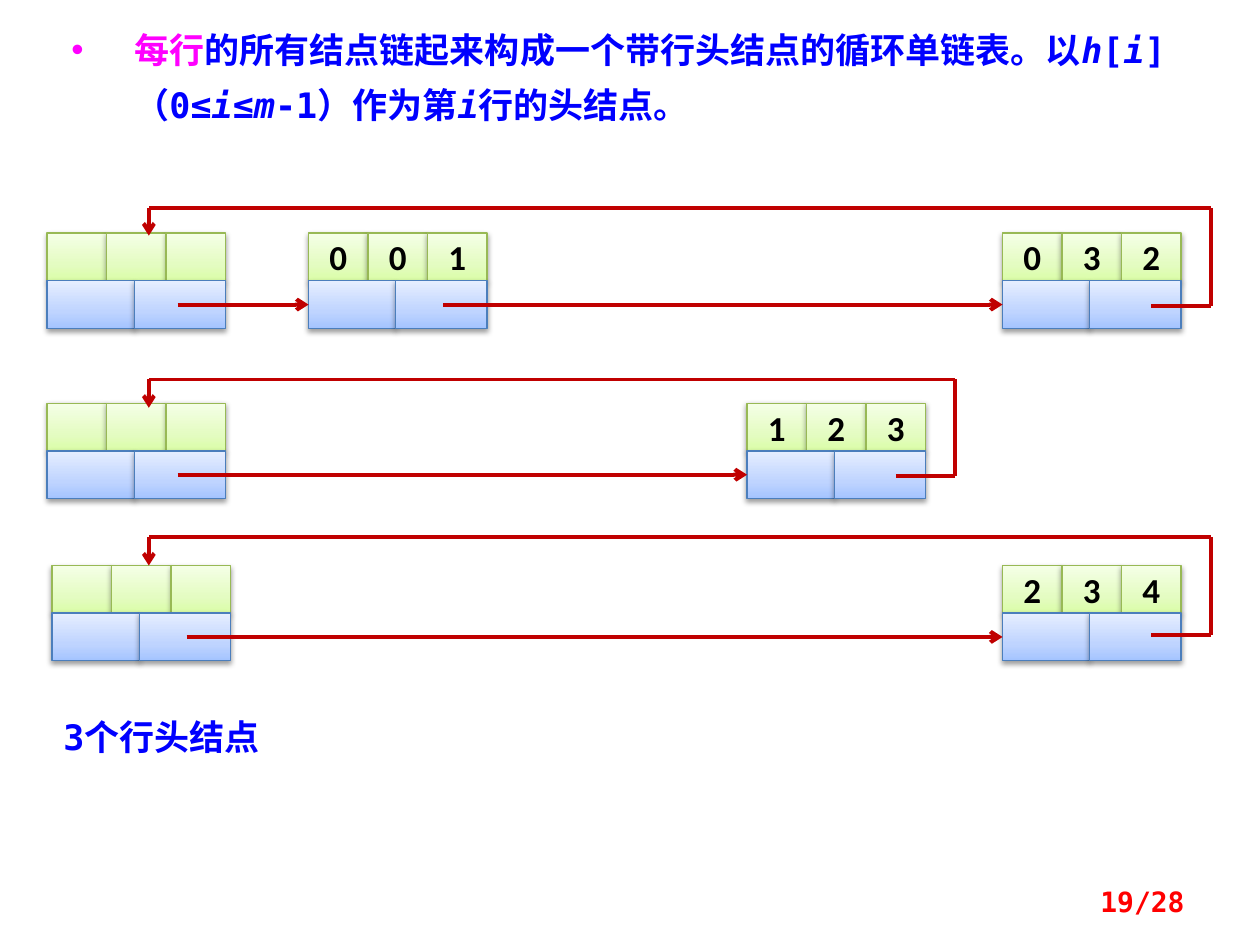
from copy import deepcopy

from pptx import Presentation
from pptx.dml.color import RGBColor
from pptx.enum.shapes import MSO_CONNECTOR as CONN, MSO_SHAPE as SHAPE
from pptx.enum.text import MSO_ANCHOR as ANCHOR, MSO_AUTO_SIZE as AUTO, PP_ALIGN as ALIGN
from pptx.oxml.ns import qn
from pptx.oxml.xmlchemy import OxmlElement
from pptx.util import Cm, Pt

MAGENTA = RGBColor(0xFF, 0x00, 0xFF)
BLUE = RGBColor(0x00, 0x00, 0xFF)
RED = RGBColor(0xFF, 0x00, 0x00)
BLACK = RGBColor(0x00, 0x00, 0x00)
LINK = RGBColor(0xC0, 0x00, 0x00)
GREEN_EDGE = RGBColor(0x98, 0xB9, 0x55)
BLUE_EDGE = RGBColor(0x4B, 0x7E, 0xBC)
GREEN_FILL = [RGBColor(0xDA, 0xFD, 0xA7), RGBColor(0xE4, 0xFC, 0xC2), RGBColor(0xF5, 0xFF, 0xE7)]
BLUE_FILL = [RGBColor(0xA4, 0xC4, 0xFF), RGBColor(0xBF, 0xD4, 0xFF), RGBColor(0xE6, 0xEE, 0xFF)]
MONO, SANS = "DejaVu Sans Mono", "Calibri"
CELL_W, CELL_H, DATA_W = 1.2, 0.96, 1.76
NODE_W = 3 * CELL_W


class LinkedListSlide:
    """Draws nodes, links and text on one slide in a shared style."""

    def __init__(self, prs):
        self.s = prs.slides.add_slide(prs.slide_layouts[6])

    def element(self, parent, tag, **attrs):
        el = OxmlElement(tag)
        for name, value in attrs.items():
            el.set(name, str(value))
        parent.append(el)
        return el

    def run(self, p, text, color, size=20, font=MONO, italic=False):
        r = p.add_run()
        r.text = text
        r.font.name, r.font.size = font, Pt(size)
        r.font.bold, r.font.italic = True, italic
        r.font.color.rgb = color

    def text(self, x, y, w, h, runs, size=20, align=ALIGN.LEFT, anchor=ANCHOR.TOP,
             auto=AUTO.NONE, bullet=False):
        tf = self.s.shapes.add_textbox(Cm(x), Cm(y), Cm(w), Cm(h)).text_frame
        tf.word_wrap, tf.auto_size, tf.vertical_anchor = True, auto, anchor
        p = tf.paragraphs[0]
        p.alignment = align
        if bullet:
            p.line_spacing = 1.3
            pPr = p._p.get_or_add_pPr()
            pPr.set("marL", str(Cm(1.27)))
            pPr.set("indent", str(Cm(-1.27)))
            self.element(pPr, "a:buFont", typeface="Arial")
            self.element(pPr, "a:buChar", char="•")
        for text, color, italic in runs:
            self.run(p, text, color, size, italic=italic)

    def cell(self, grp, x, y, w, colors, edge, label=""):
        sp = grp.shapes.add_shape(SHAPE.RECTANGLE, Cm(x), Cm(y), Cm(w), Cm(CELL_H))
        sp.fill.gradient()
        sp.fill.gradient_angle = 90
        stops = sp._element.spPr.find(".//" + qn("a:gsLst"))
        stops.append(deepcopy(stops[0]))
        for stop, color, position in zip(sp.fill.gradient_stops, colors, (0, 0.35, 1)):
            stop.color.rgb, stop.position = color, position
        sp.line.color.rgb, sp.line.width = edge, Pt(0.75)
        sp.shadow.inherit = False
        effects = sp._element.spPr.find(qn("a:effectLst"))
        shadow = self.element(effects, "a:outerShdw", blurRad=Pt(3.1), dist=Pt(1.6),
                              dir=5400000, rotWithShape=0)
        self.element(self.element(shadow, "a:srgbClr", val=BLACK), "a:alpha", val=38000)
        if label:
            tf = sp.text_frame
            tf.word_wrap, tf.vertical_anchor = False, ANCHOR.MIDDLE
            p = tf.paragraphs[0]
            p.alignment = ALIGN.CENTER
            self.run(p, label, BLACK, font=SANS)

    def node(self, x, y, labels=("", "", "")):
        grp = self.s.shapes.add_group_shape()
        for i, label in enumerate(labels):
            self.cell(grp, x + i * CELL_W, y, CELL_W, GREEN_FILL, GREEN_EDGE, label)
        self.cell(grp, x, y + CELL_H, DATA_W, BLUE_FILL, BLUE_EDGE)
        self.cell(grp, x + DATA_W, y + CELL_H, NODE_W - DATA_W, BLUE_FILL, BLUE_EDGE)

    def link(self, x1, y1, x2, y2, arrow=True, parent=None):
        shapes = (parent or self.s).shapes
        cn = shapes.add_connector(CONN.STRAIGHT, Cm(x1), Cm(y1), Cm(x2), Cm(y2))
        cn.line.color.rgb, cn.line.width = LINK, Pt(2.25)
        if arrow:
            self.element(cn.line._get_or_add_ln(), "a:tailEnd", type="arrow")
        self.element(cn._element.spPr, "a:effectLst")

    def loop(self, x, y, top, head_x, head_y):
        grp = self.s.shapes.add_group_shape()
        right = x + 1.2
        points = [(x, y), (right, y), (right, top), (head_x, top), (head_x, head_y)]
        for i, (a, b) in enumerate(zip(points, points[1:])):
            self.link(*a, *b, arrow=i == 3, parent=grp)

    def row(self, y, head_x, start, nodes, loop_top, loop_y, head_y):
        self.node(head_x, y)
        for x, labels in nodes:
            self.node(x, y, labels)
        middle = y + 1.5 * CELL_H
        for x, _ in nodes:
            self.link(start, middle, x, middle)
            start = x + 2.72
        self.loop(nodes[-1][0] + 3, loop_y, loop_top, 3, head_y)


def main():
    prs = Presentation()
    prs.slide_width, prs.slide_height = Cm(25.4), Cm(19.05)
    slide = LinkedListSlide(prs)
    slide.text(1.19, 0.2, 22.86, 2.36, [
        ("每行", MAGENTA, False),
        ("的所有结点链起来构成一个带行头结点的循环单链表。以", BLUE, False),
        ("h", BLUE, True), ("[", BLUE, False), ("i", BLUE, True),
        ("]（0≤", BLUE, False), ("i", BLUE, True), ("≤", BLUE, False),
        ("m", BLUE, True), ("-1）作为第", BLUE, False), ("i", BLUE, True),
        ("行的头结点。", BLUE, False),
    ], auto=AUTO.SHAPE_TO_FIT_TEXT, bullet=True)
    slide.row(4.7, 0.95, 3.58, [(6.22, "001"), (20.21, "032")], 4.19, 6.17, 4.75)
    slide.row(8.13, 0.95, 3.58, [(15.06, "123")], 7.65, 9.6, 8.22)
    slide.row(11.4, 1.05, 3.76, [(20.21, "234")], 10.82, 12.8, 11.4)
    slide.text(0.58, 14.3, 5.36, 1.12, [("3个行头结点", BLUE, False)],
               align=ALIGN.CENTER, auto=AUTO.SHAPE_TO_FIT_TEXT)
    slide.text(18.21, 17.65, 5.92, 1.02, [("19/28", RED, False)], size=16,
               align=ALIGN.RIGHT, anchor=ANCHOR.MIDDLE)
    prs.save("out.pptx")


if __name__ == "__main__":
    main()
